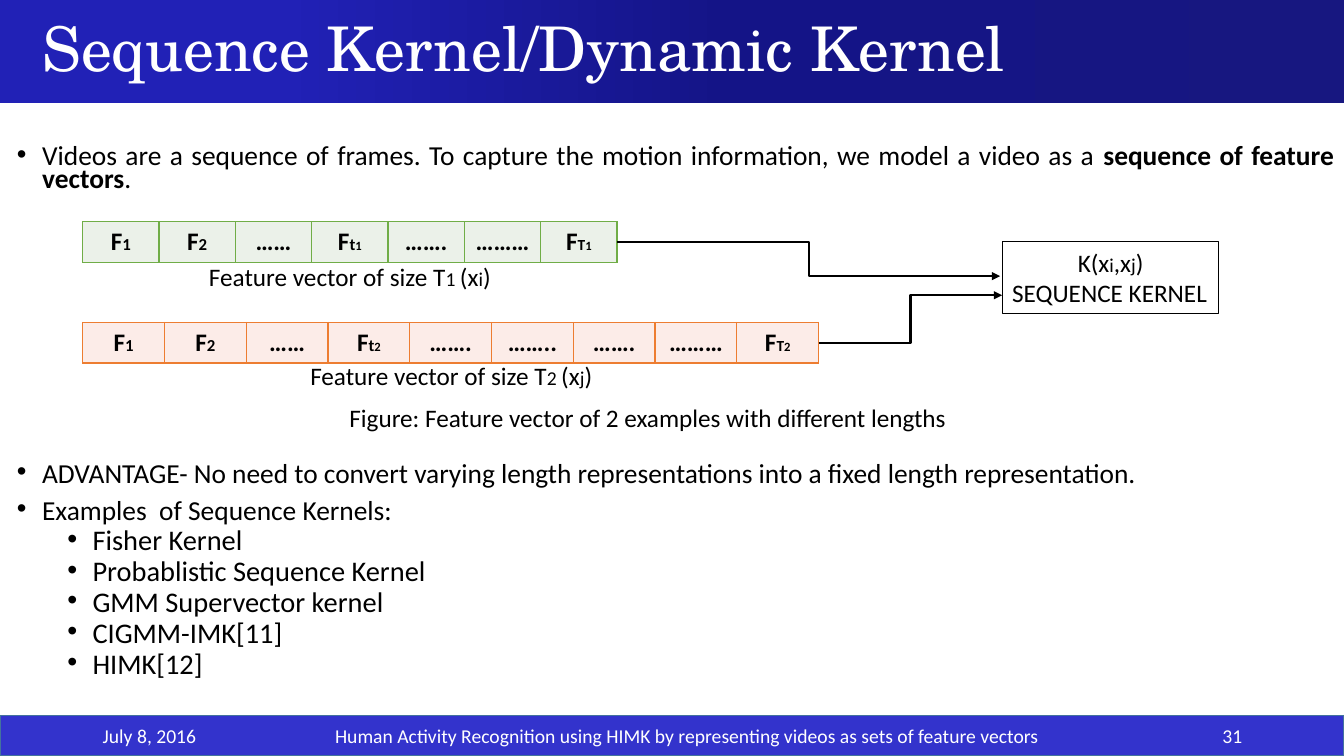
import copy

import pptx
import pptx.dml.color
import pptx.enum.dml
import pptx.enum.shapes
import pptx.enum.text
import pptx.oxml
import pptx.oxml.ns
import pptx.util
from pptx.util import Inches

RGB = pptx.dml.color.RGBColor.from_string
ALIGN = pptx.enum.text.PP_ALIGN
ANCHOR = pptx.enum.text.MSO_ANCHOR
SHAPE = pptx.enum.shapes.MSO_SHAPE
NS = pptx.oxml.ns.nsdecls("a")

THEME = {
    "font": "Calibri", "title_font": "TeX Gyre Schola",
    "ink": "000000", "light": "FFFFFF",
    "banner": [(0, "171780"), (0.46, "141487"), (0.79, "2121B6")],
    "footer": "3333CC", "footer_edge": "43739E",
    "first": ("EBF1E9", "70AD47"), "second": ("FCECE8", "ED7D31"),
    "title": 44, "point": 19.6, "example": 20.3, "label": 18, "small": 14,
    "index": 12, "end_index": 11, "sub_index": 9,
}


def write(paragraph, runs, color="ink", font="font", **layout):
    """Fill a paragraph with (text, size, bold) runs."""
    for name, value in layout.items():
        setattr(paragraph, name, value)
    for text, size, *bold in runs:
        run = paragraph.add_run()
        run.text = text
        look = {"name": THEME[font], "size": pptx.util.Pt(THEME[size]), "bold": bool(bold)}
        for name, value in look.items():
            setattr(run.font, name, value)
        run.font.color.rgb = RGB(THEME[color])


def text_box(place, anchor=ANCHOR.TOP):
    """Add a wrapping text box and return its frame."""
    frame = slide.shapes.add_textbox(*map(Inches, place)).text_frame
    for name, value in {"word_wrap": True, "vertical_anchor": anchor}.items():
        setattr(frame, name, value)
    return frame


deck = pptx.Presentation()
deck.slide_width, deck.slide_height = Inches(13.33), Inches(7.5)
slide = deck.slides.add_slide(deck.slide_layouts[5])

# Title banner
banner = slide.shapes.title
for name, value in {"left": 0, "top": 0, "width": 13.33, "height": 1.02}.items():
    setattr(banner, name, Inches(value))
banner.fill.gradient()
banner.fill.gradient_angle = 180
stop_list = banner.fill.gradient_stops[0]._gs.getparent()
stop_list.append(copy.deepcopy(stop_list[0]))
for stop, (position, color) in zip(banner.fill.gradient_stops, THEME["banner"]):
    stop.position = position
    stop.color.rgb = RGB(color)
banner_format = {"vertical_anchor": ANCHOR.MIDDLE, "margin_left": Inches(0.42),
                 "word_wrap": True, "auto_size": pptx.enum.text.MSO_AUTO_SIZE.NONE}
for name, value in banner_format.items():
    setattr(banner.text_frame, name, value)
write(banner.text_frame.paragraphs[0], [("Sequence Kernel/Dynamic Kernel", "title")],
      "light", "title_font", alignment=ALIGN.LEFT, line_spacing=0.9)

# Footer
footer = slide.shapes.add_shape(SHAPE.RECTANGLE, 0, Inches(7.1), Inches(13.33), Inches(0.4))
footer.shadow.inherit = False
footer.fill.solid()
footer.fill.fore_color.rgb = RGB(THEME["footer"])
footer.line.color.rgb = RGB(THEME["footer_edge"])
footer.line.width = pptx.util.Pt(1)
for left, width, alignment, text in [
    (0.92, 3, ALIGN.LEFT, "July 8, 2016"),
    (3.17, 7.29, ALIGN.CENTER,
     "Human Activity Recognition using HIMK by representing videos as sets of feature vectors"),
    (9.42, 3, ALIGN.RIGHT, "31"),
]:
    frame = text_box((left, 7.1, width, 0.4), ANCHOR.MIDDLE)
    write(frame.paragraphs[0], [(text, "small")], "light", alignment=alignment)

# Points: runs, indent, space before (the large one leaves room for the figure)
points = [
    ([("Videos are a sequence of frames. To capture the motion information, "
       "we model a video as a ", "point"),
      ("sequence of feature vectors", "point", True), (".", "point")], 0.25, 0),
    ([("ADVANTAGE- No need to convert varying length representations into "
       "a fixed length representation.", "point")], 0.25, 194),
    ([("Examples  of Sequence Kernels:", "point")], 0.25, 10),
]
for kernel in ["Fisher Kernel", "Probablistic Sequence Kernel", "GMM Supervector kernel",
               "CIGMM-IMK[11]", "HIMK[12]"]:
    points.append(([(kernel, "example")], 0.75, 5))
body = text_box((0.07, 1.41, 13.26, 5.6))
for number, (runs, indent, space) in enumerate(points):
    paragraph = body.add_paragraph() if number else body.paragraphs[0]
    properties = paragraph._p.get_or_add_pPr()
    properties.set("marL", str(Inches(indent)))
    properties.set("indent", str(Inches(-0.25)))
    properties.append(pptx.oxml.parse_xml(f'<a:buFont {NS} typeface="Arial"/>'))
    properties.append(pptx.oxml.parse_xml(f'<a:buChar {NS} char="•"/>'))
    write(paragraph, runs, alignment=ALIGN.JUSTIFY, line_spacing=0.7,
          space_before=pptx.util.Pt(space))

# Feature vectors: each row of cells ends in its own length T
vectors = [
    ("first", 2.2, 5.3, "1", ["……"], ["…….", "………"]),
    ("second", 3.2, 7.3, "2", ["……"], ["…….", "……..", "…….", "………"]),
]
for color_key, top, width, example, before, after in vectors:
    fill, edge = THEME[color_key]
    features = [[("F", "label"), (index, "index")] for index in "12"]
    features += [[(dots, "label")] for dots in before]
    features.append([("F", "label"), ("t", "index"), (example, "sub_index")])
    features += [[(dots, "label")] for dots in after]
    features.append([("F", "label"), ("T", "end_index"), (example, "sub_index")])
    vector = slide.shapes.add_table(1, len(features), Inches(0.82), Inches(top),
                                    Inches(width), Inches(0.4)).table
    vector.first_row = vector.horz_banding = False
    for column, runs in enumerate(features):
        vector.columns[column].width = Inches(width / len(features))
        cell = vector.cell(0, column)
        cell.fill.solid()
        cell.fill.fore_color.rgb = RGB(fill)
        for order, side in enumerate("LRTB"):
            cell._tc.get_or_add_tcPr().insert(order, pptx.oxml.parse_xml(
                f'<a:ln{side} {NS} w="12700"><a:solidFill><a:srgbClr val="{edge}"/>'
                f'</a:solidFill></a:ln{side}>'))
        write(cell.text_frame.paragraphs[0], [(*run, True) for run in runs],
              alignment=ALIGN.CENTER)

# Captions
for place, runs in [
    ((1.48, 2.54, 3.98, 0.4), [("Feature vector of size T", "label"), ("1 ", "small"),
                               ("(x", "label"), ("i", "small"), (")", "label")]),
    ((2.73, 3.53, 3.49, 0.4), [("Feature vector of size T", "label"), ("2 ", "small"),
                               ("(x", "label"), ("j", "small"), (")", "label")]),
    ((2.49, 3.94, 7.87, 0.4),
     [("Figure: Feature vector of 2 examples with different lengths", "label")]),
]:
    write(text_box(place).paragraphs[0], runs, alignment=ALIGN.CENTER)

# Sequence kernel
kernel_box = slide.shapes.add_shape(SHAPE.RECTANGLE, Inches(9.94), Inches(2.4),
                                    Inches(2.15), Inches(0.71))
kernel_box.shadow.inherit = False
kernel_box.fill.background()
kernel_box.line.color.rgb = RGB(THEME["ink"])
kernel_box.line.width = pptx.util.Pt(0.75)
kernel_text = kernel_box.text_frame
for name, value in {"word_wrap": True, "vertical_anchor": ANCHOR.TOP}.items():
    setattr(kernel_text, name, value)
write(kernel_text.paragraphs[0], [("K(x", "label"), ("i", "small"), (",x", "label"),
                                  ("j", "small"), (")", "label")], alignment=ALIGN.CENTER)
write(kernel_text.add_paragraph(), [("SEQUENCE KERNEL", "label")], alignment=ALIGN.LEFT)

# Arrows from the vectors to the kernel
for ends in [(6.12, 2.4, 9.92, 2.74), (8.12, 3.4, 9.94, 2.93)]:
    arrow = slide.shapes.add_connector(pptx.enum.shapes.MSO_CONNECTOR.ELBOW,
                                       *map(Inches, ends))
    arrow.line.color.rgb = RGB(THEME["ink"])
    arrow.line.width = pptx.util.Pt(1.5)
    arrow.line._get_or_add_ln().append(
        pptx.oxml.parse_xml(f'<a:tailEnd {NS} type="triangle"/>'))
    arrow._element.spPr.append(pptx.oxml.parse_xml(f'<a:effectLst {NS}/>'))

deck.save("out.pptx")
